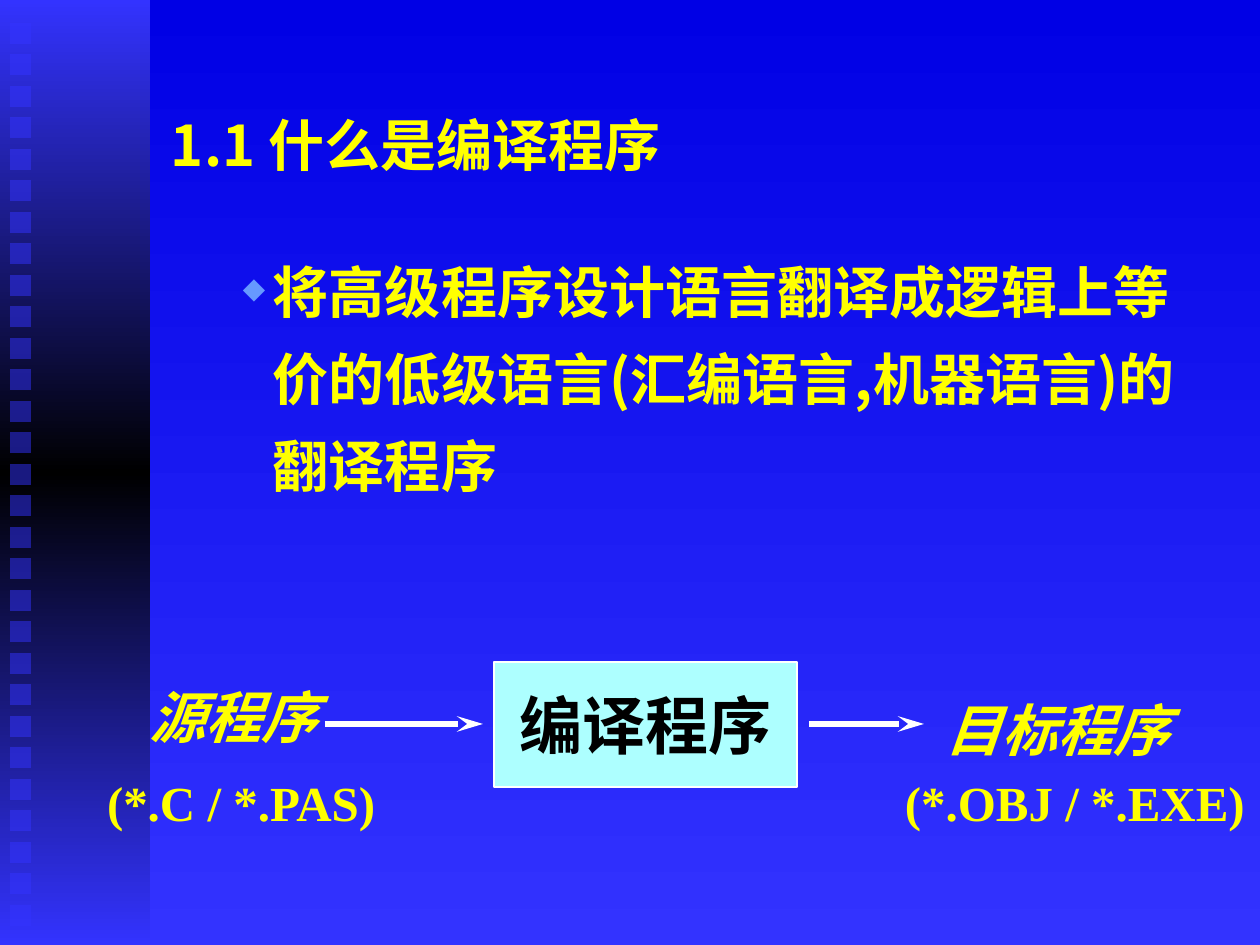
from copy import deepcopy

from lxml.etree import SubElement
from pptx import Presentation
from pptx.dml.color import RGBColor
from pptx.enum.shapes import MSO_CONNECTOR, MSO_SHAPE
from pptx.enum.text import MSO_ANCHOR, MSO_AUTO_SIZE, PP_ALIGN
from pptx.oxml.ns import qn
from pptx.util import Pt

EMU_PER_PX = 914400 / 126
COLORS = {
    "sky": "0000E5",
    "blue": "3333FF",
    "black": "000000",
    "yellow": "FFFF00",
    "bullet": "6699FF",
    "box": "ADFFFF",
    "white": "FFFFFF",
}
SANS = "Noto Sans CJK SC"
SERIF = "Times New Roman"


def px(length):
    return round(length * EMU_PER_PX)


def rgb(name):
    return RGBColor.from_string(COLORS[name])


def write(shape, text, size, color="yellow", font=SERIF, italic=False,
          align=PP_ALIGN.LEFT, anchor=MSO_ANCHOR.TOP, wrap=True, grow=False,
          top=6, bottom=6, spacing=None):
    frame = shape.text_frame
    frame.word_wrap = wrap
    frame.auto_size = MSO_AUTO_SIZE.SHAPE_TO_FIT_TEXT if grow else MSO_AUTO_SIZE.NONE
    frame.vertical_anchor = anchor
    frame.margin_left = frame.margin_right = px(13)
    frame.margin_top, frame.margin_bottom = px(top), px(bottom)
    paragraph = frame.paragraphs[0]
    paragraph.alignment = align
    if spacing:
        paragraph.line_spacing = Pt(spacing)
    run = paragraph.add_run()
    run.text = text
    run.font.size = Pt(size)
    run.font.bold = True
    run.font.italic = italic
    run.font.name = font
    run.font.color.rgb = rgb(color)
    SubElement(run.font._element, qn("a:ea"), typeface=SANS)
    return paragraph


def add_label(slide, box, text, **style):
    label = slide.shapes.add_textbox(*map(px, box))
    return write(label, text, **style)


def add_bullet(paragraph, symbol, color, percent, left, hanging):
    properties = paragraph._p.get_or_add_pPr()
    properties.set("marL", str(px(left)))
    properties.set("indent", str(-px(hanging)))
    bullet_color = SubElement(properties, qn("a:buClr"))
    SubElement(bullet_color, qn("a:srgbClr"), val=COLORS[color])
    SubElement(properties, qn("a:buSzPct"), val=str(percent * 1000))
    SubElement(properties, qn("a:buChar"), char=symbol)


def apply_gradient(fill, element, names):
    fill.gradient()
    fill.gradient_angle = 270
    stops = list(element.iter(qn("a:gs")))
    for _ in names[2:]:
        stops[-1].addnext(deepcopy(stops[-1]))
    for index, (stop, name) in enumerate(zip(fill.gradient_stops, names)):
        stop.color.rgb = rgb(name)
        stop.position = index / (len(names) - 1)


def add_rectangle(shapes, box):
    rectangle = shapes.add_shape(MSO_SHAPE.RECTANGLE, *map(px, box))
    rectangle.shadow.inherit = False
    rectangle.line.fill.background()
    return rectangle


def add_sidebar(slide):
    sidebar = slide.shapes.add_group_shape()
    band = add_rectangle(sidebar.shapes, (0, 0, 150, 945))
    apply_gradient(band.fill, band._element, ["blue", "black", "blue"])
    for index in range(29):
        square = add_rectangle(sidebar.shapes, (10, 23 + index * 63 // 2, 21, 21))
        square.fill.solid()
        square.fill.fore_color.rgb = rgb("blue")
        color = square._element.spPr.find(qn("a:solidFill"))[0]
        SubElement(color, qn("a:alpha"), val="50000")


def add_title(slide, text):
    title = slide.shapes.title
    title.left, title.top, title.width, title.height = map(px, (158, 53, 1071, 158))
    write(title, text, size=32, font=SANS, anchor=MSO_ANCHOR.MIDDLE, top=30)


def add_compiler_box(slide, text):
    compiler = add_rectangle(slide.shapes, (494, 662, 303, 125))
    compiler.fill.solid()
    compiler.fill.fore_color.rgb = rgb("box")
    compiler.line.color.rgb = rgb("white")
    compiler.line.width = Pt(1)
    write(compiler, text, size=36, color="black", align=PP_ALIGN.CENTER,
          anchor=MSO_ANCHOR.MIDDLE, wrap=False)


def add_arrow(slide, start, end, y):
    arrow = slide.shapes.add_connector(MSO_CONNECTOR.STRAIGHT, px(start), px(y), px(end), px(y))
    arrow.line.color.rgb = rgb("white")
    arrow.line.width = Pt(3)
    SubElement(arrow.line._get_or_add_ln(), qn("a:tailEnd"), type="stealth", w="med", len="lg")
    SubElement(arrow._element.spPr, qn("a:effectLst"))


def main():
    deck = Presentation()
    deck.slide_width, deck.slide_height = px(1260), px(945)
    slide = deck.slides.add_slide(deck.slide_layouts[5])
    apply_gradient(slide.background.fill, slide._element, ["sky", "blue"])
    add_sidebar(slide)
    add_title(slide, "1.1 什么是编译程序")

    definition = add_label(
        slide, (158, 231, 1050, 357),
        "将高级程序设计语言翻译成逻辑上等价的低级语言(汇编语言,机器语言)的翻译程序",
        size=32, font=SANS, top=7, spacing=49.7)
    add_bullet(definition, "◆", "bullet", 52, left=102, hanging=30)

    add_compiler_box(slide, "编译程序")
    for start, end in ((809, 924), (325, 483)):
        add_arrow(slide, start, end, 724)

    for left, top, width, text in ((136, 683, 198, "源程序"), (932, 696, 296, "目标程序")):
        add_label(slide, (left, top, width, 79), text, size=32, italic=True,
                  wrap=False, grow=True, top=0, bottom=0)
    for left, width, text in ((94, 297, "(*.C / *.PAS)"), (892, 366, "(*.OBJ / *.EXE)")):
        add_label(slide, (left, 766, width, 72), text, size=28, wrap=False, grow=True)

    deck.save("out.pptx")


if __name__ == "__main__":
    main()
